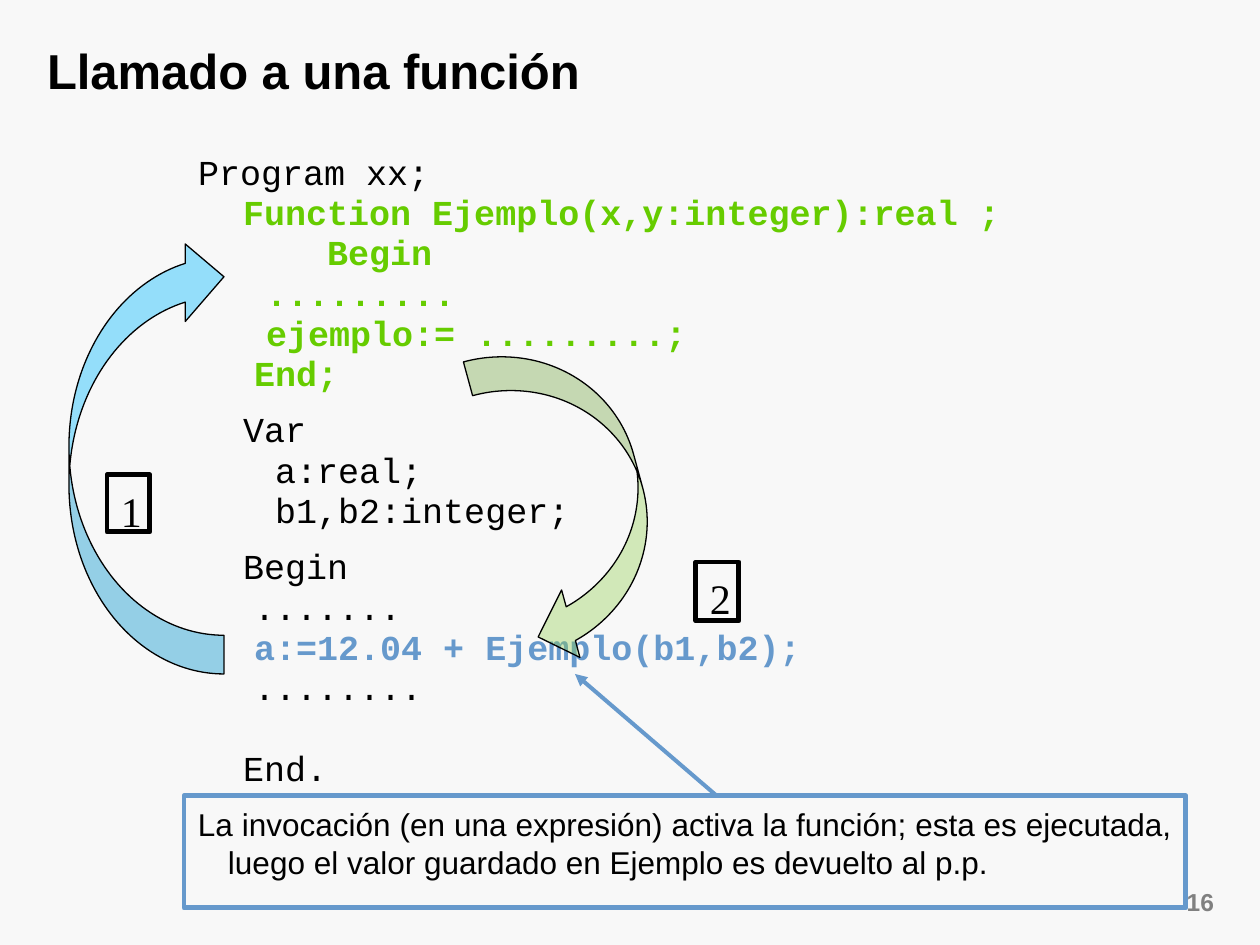
from pptx import Presentation
from pptx.dml.color import RGBColor
from pptx.enum.shapes import MSO_CONNECTOR, MSO_SHAPE
from pptx.enum.text import MSO_ANCHOR, PP_ALIGN
from pptx.oxml.ns import qn
from pptx.util import Emu, Pt
from lxml import etree

RECT = MSO_SHAPE.RECTANGLE
CURVED_ARROW = MSO_SHAPE.CURVED_LEFT_ARROW
STRAIGHT = MSO_CONNECTOR.STRAIGHT
TOP, MIDDLE = MSO_ANCHOR.TOP, MSO_ANCHOR.MIDDLE
LEFT, RIGHT, JUSTIFY = PP_ALIGN.LEFT, PP_ALIGN.RIGHT, PP_ALIGN.JUSTIFY

EMU_PER_PX = 914400 // 126
BLACK, GREEN, BLUE, GRAY = "000000", "66CC00", "6699CC", "808080"

# Code lines: text, left indent in px, colour (coloured lines are bold), points before
CODE = [
    ("Program xx;", 0, BLACK, 0),
    ("Function Ejemplo(x,y:integer):real ;", 45, GREEN, 0),
    ("    Begin", 45, GREEN, 0),
    (".........", 68, GREEN, 0),
    ("ejemplo:= .........;", 68, GREEN, 0),
    ("End;", 56, GREEN, 0),
    ("Var", 45, BLACK, 9),
    (" a:real;", 56, BLACK, 0),
    (" b1,b2:integer;", 56, BLACK, 0),
    ("Begin", 45, BLACK, 9),
    (".......", 56, BLACK, 0),
    ("a:=12.04 + Ejemplo(b1,b2);", 56, BLUE, 0),
    ("........", 56, BLACK, 0),
    ("End.", 45, BLACK, 23),
]


def px(n):
    return Emu(n * EMU_PER_PX)


def rgb(value):
    return RGBColor.from_string(value)


def set_frame(s, insets, wrap=True, anchor=TOP):
    tf = s.text_frame
    tf.word_wrap = wrap
    tf.vertical_anchor = anchor
    tf.margin_left, tf.margin_top, tf.margin_right, tf.margin_bottom = map(px, insets)
    return tf


def add_run(p, text, size, font, color, bold=False):
    r = p.add_run()
    r.text = text
    r.font.size = Pt(size)
    r.font.name = font
    r.font.bold = bold
    r.font.color.rgb = rgb(color)


def add_label(sp, box, text, size, color, align=LEFT, anchor=TOP):
    s = sp.add_textbox(*map(px, box))
    p = set_frame(s, (12, 5, 12, 6), anchor=anchor).paragraphs[0]
    p.alignment = align
    add_run(p, text, size, "Arial", color, True)


def add_code(sp, box):
    tf = set_frame(sp.add_textbox(*map(px, box)), (11, 6, 11, 5))
    for i, (text, indent, color, before) in enumerate(CODE):
        p = tf.add_paragraph() if i else tf.paragraphs[0]
        p._p.get_or_add_pPr().set("marL", str(px(indent)))
        p.line_spacing = 0.96
        p.space_before = Pt(before)
        add_run(p, text, 20, "Courier New", color, color != BLACK)


def add_frame_box(sp, box, color, insets, wrap):
    s = sp.add_shape(RECT, *map(px, box))
    s.shadow.inherit = False
    s.fill.background()
    s.line.color.rgb = rgb(color)
    s.line.width = Pt(2.83)
    p = set_frame(s, insets, wrap).paragraphs[0]
    p.alignment = LEFT
    return p


def add_note(sp, box, text):
    p = add_frame_box(sp, box, BLUE, (14, 9, 14, 8), True)
    p.alignment = JUSTIFY
    pPr = p._p.get_or_add_pPr()
    pPr.set("marL", str(px(30)))
    pPr.set("indent", str(px(-30)))
    add_run(p, text, 18, "Arial", BLACK)


def add_step(sp, box, number):
    p = add_frame_box(sp, box, BLACK, (14, 10, 14, 8), False)
    add_run(p, number, 24, "Times New Roman", BLACK)


def add_pointer(sp, start, end):
    s = sp.add_connector(STRAIGHT, *map(px, start + end))
    s.line.color.rgb = rgb(BLUE)
    s.line.width = Pt(2.3)
    etree.SubElement(s.line._get_or_add_ln(), qn("a:tailEnd"), type="triangle")
    etree.SubElement(s._element.spPr, qn("a:effectLst"))


def add_curved_arrow(sp, box, color, opacity, rotation=0, flipped=False):
    s = sp.add_shape(CURVED_ARROW, *map(px, box))
    s.shadow.inherit = False
    for i, value in enumerate((0.25, 0.5, 0.25)):
        s.adjustments[i] = value
    s.rotation = rotation
    if flipped:
        xfrm = s._element.spPr.get_or_add_xfrm()
        xfrm.set("flipH", "1")
        xfrm.set("flipV", "1")
    s.fill.solid()
    s.fill.fore_color.rgb = rgb(color)
    clr = s._element.spPr.find(qn("a:solidFill")).find(qn("a:srgbClr"))
    etree.SubElement(clr, qn("a:alpha"), val=str(opacity * 1000))
    s.line.color.rgb = rgb(BLACK)
    s.line.width = Pt(0.75)


def main():
    prs = Presentation()
    prs.slide_width, prs.slide_height = px(1260), px(945)
    slide = prs.slides.add_slide(prs.slide_layouts[6])
    slide.background.fill.solid()
    slide.background.fill.fore_color.rgb = rgb("F8F8F8")
    sp = slide.shapes

    # Page number, title and program
    add_label(sp, (1144, 882, 82, 42), "16", 14, GRAY, RIGHT)
    add_label(sp, (35, 25, 900, 91), "Llamado a una función", 28, BLACK, anchor=MIDDLE)
    add_code(sp, (187, 147, 830, 650))

    # Explanation of the call
    add_note(sp, (184, 796, 1002, 112),
             "La invocación (en una expresión) activa la función; esta es ejecutada, "
             "luego el valor guardado en Ejemplo es devuelto al p.p.")
    add_pointer(sp, (717, 796), (575, 674))

    # Numbered steps and their arrows
    add_step(sp, (107, 475, 43, 57), "1")
    add_step(sp, (696, 562, 43, 59), "2")
    add_curved_arrow(sp, (69, 238, 155, 436), "00B8FF", 40, flipped=True)
    add_curved_arrow(sp, (503, 338, 140, 320), "92D050", 38, rotation=344.8)

    prs.save("out.pptx")


if __name__ == "__main__":
    main()
